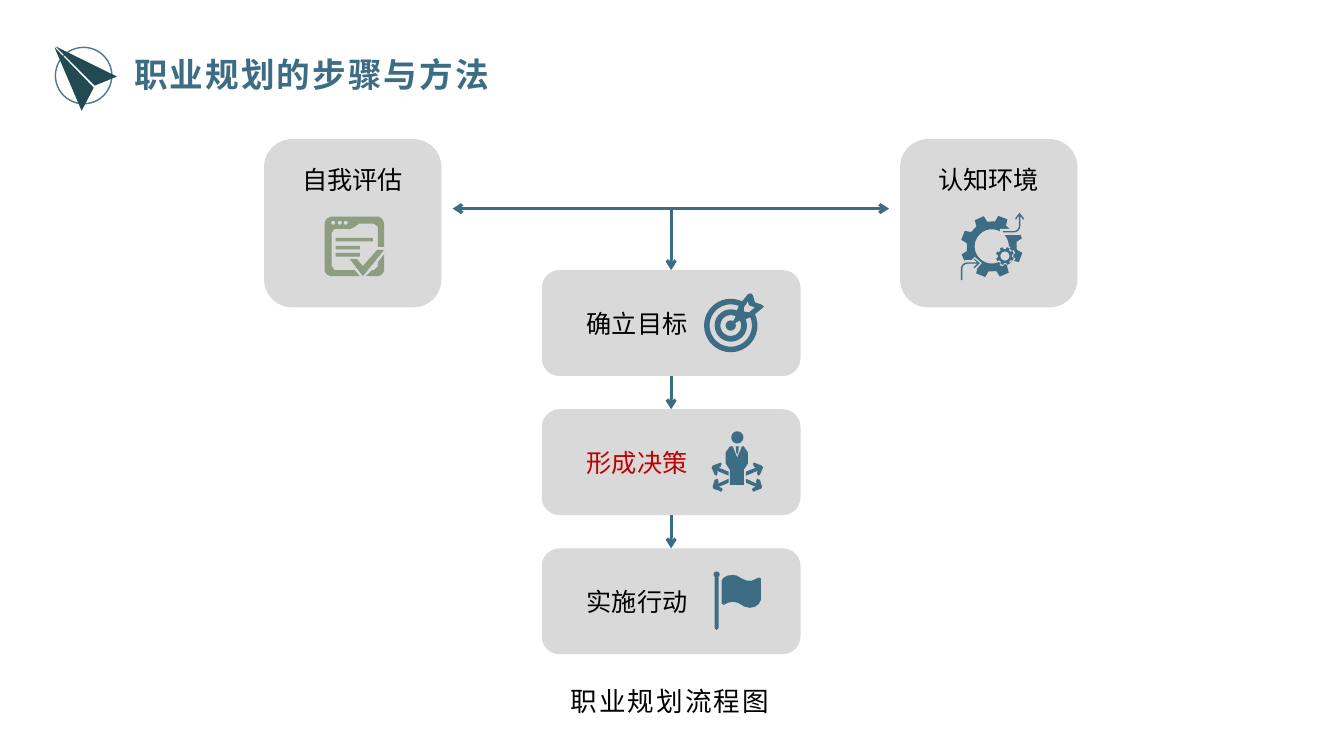
import math

from lxml import etree
from pptx import Presentation
from pptx import util as u
from pptx.dml.color import RGBColor
from pptx.enum import shapes, text
from pptx.oxml.ns import qn

COLS, ROWS, CELL = 160, 90, 76200
ICON_UNIT = 0.12
FONT = "Noto Sans CJK SC"
COLORS = {"blue": "3D6D84", "ring": "467A8C", "plane": "224A52", "box": "D9D9D9",
          "green": "8C9D80", "black": "000000", "red": "C00000"}
FRAME = {"word_wrap": True, "auto_size": text.MSO_AUTO_SIZE.NONE, "margin_top": 0,
         "margin_bottom": 0, "vertical_anchor": text.MSO_ANCHOR.MIDDLE}


def rgb(name):
    """Return the named colour."""
    return RGBColor.from_string(COLORS[name])


def grid(*cells):
    """Turn grid cells into lengths."""
    return [u.Emu(round(c * CELL)) for c in cells]


def apply(obj, values):
    """Set each attribute of the object from a dict."""
    for key, value in values.items():
        setattr(obj, key, value)


def write(sp, words, size, color="black", bold=False, align="CENTER", spacing=0):
    """Fill a shape with one formatted line of text."""
    tf = sp.text_frame
    apply(tf, FRAME)
    p = tf.paragraphs[0]
    p.alignment = getattr(text.PP_ALIGN, align)
    r = p.add_run()
    r.text = words
    apply(r.font, {"size": u.Pt(size), "bold": bold, "name": FONT})
    r.font.color.rgb = rgb(color)
    rpr = r.font._element
    etree.SubElement(rpr, qn("a:ea")).set("typeface", FONT)
    if spacing:
        rpr.set("spc", str(spacing))
    return p


def label(parent, at, words, size=18, **style):
    """Add a text box on the grid."""
    return write(parent.add_textbox(*grid(*at)), words, size, **style)


def box(parent, at):
    """Add a plain rounded box."""
    sp = parent.add_shape(shapes.MSO_SHAPE.ROUNDED_RECTANGLE, *grid(*at))
    sp.shadow.inherit = False
    sp.fill.solid()
    sp.fill.fore_color.rgb = rgb("box")
    sp.line.fill.background()
    return sp


def icon(parent, origin, contours, color="blue"):
    """Draw closed contours as one filled outline."""
    def place(points):
        """Move icon points onto the slide."""
        return [grid(*(o + v * ICON_UNIT for o, v in zip(origin, pt))) for pt in points]

    first, *others = [place(c) for c in contours]
    builder = parent.build_freeform(*first[0], scale=1.0)
    builder.add_line_segments(first[1:])
    for points in others:
        builder.move_to(*points[0])
        builder.add_line_segments(points[1:])
    sp = builder.convert_to_shape()
    sp.shadow.inherit = False
    sp.fill.solid()
    sp.fill.fore_color.rgb = rgb(color)
    sp.line.fill.background()


def arrow(parent, start, end, *heads):
    """Add a straight line with the given heads."""
    c = parent.add_connector(shapes.MSO_CONNECTOR.STRAIGHT, *grid(*start, *end))
    c.line.color.rgb = rgb("blue")
    c.line.width = u.Pt(2.25)
    etree.SubElement(c._element.spPr, qn("a:effectLst"))
    for head in heads:
        etree.SubElement(c.line._get_or_add_ln(), qn(f"a:{head}")).set("type", "arrow")
    return c


def arc(center, radius, start=0, stop=360, steps=36):
    """List points along an arc, in degrees."""
    angles = [math.radians(start + (stop - start) * i / steps) for i in range(steps + 1)]
    return [(center[0] + radius * math.cos(a), center[1] + radius * math.sin(a)) for a in angles]


def band(center, outer, inner, start, stop):
    """Outline a part of a ring."""
    return arc(center, outer, start, stop) + arc(center, inner, start, stop)[::-1]


def rect(x, y, w, h):
    """Outline a rectangle."""
    return [(x, y), (x + w, y), (x + w, y + h), (x, y + h)]


def gear(center, outer, root, phase, teeth=8):
    """Outline a gear wheel."""
    step = 360 / teeth
    profile = [(root, -0.3), (outer, -0.2), (outer, 0.2), (root, 0.3)]
    return [arc(center, r, phase + (i + k) * step, steps=1)[0]
            for i in range(teeth) for r, k in profile]


def form_icon(parent, origin):
    """Draw the checked form."""
    body = [(6, 0), (54, 0), (57, 2), (59, 6), (59, 30), (53, 30), (53, 10), (49, 7), (34, 7),
            (30, 10), (26, 12), (10, 12), (7, 16), (7, 49), (10, 53), (30, 53), (35, 59),
            (6, 59), (2, 57), (0, 54), (0, 6), (2, 2)]
    corner = [(59, 37), (59, 54), (57, 57), (54, 59), (41, 59), (47, 53), (49, 53), (53, 49), (53, 45)]
    check = [(52, 33), (59, 33), (38, 59), (25, 42), (32, 42), (38, 49)]
    lines = [rect(11, y, w, 3.5) for y, w in ((21, 37), (29, 24), (36, 24))]
    dots = [arc((x, 6), 2) for x in (8.5, 15, 21)]
    icon(parent, origin, [body, corner, check, *lines, *dots], "green")


def gear_icon(parent, origin):
    """Draw the gears with an arrow in and an arrow out."""
    big, small = (31, 33.5), (44, 43)
    gap = [(4, 47), (11, 47), (14, 44), (21, 50), (16, 56), (14, 53), (4, 53)]
    up = [(54, 6), (58.5, 0), (63, 6), (62, 7), (58.5, 2), (55, 7)]
    right = [(13, 46), (14, 46), (19, 50), (14, 55), (13, 54), (17, 50)]
    icon(parent, origin, [gear(big, 31, 25, -69), arc(big, 17)])
    icon(parent, origin, [rect(39, 16, 20, 6), gap, gear(small, 10.5, 8.5, -69)], "box")
    icon(parent, origin, [gear(small, 9, 7, -69), arc(small, 4.5)])
    icon(parent, origin, [up, rect(57.8, 2, 1.4, 11), band((52.5, 13), 6.7, 5.3, 0, 90),
                          rect(42, 18.3, 10.5, 1.4), right, rect(7, 49.3, 10, 1.4),
                          band((7, 56), 6.7, 5.3, 180, 270), rect(0.3, 56, 1.4, 11)])


def target_icon(parent, origin):
    """Draw the target with a dart."""
    hub = (26, 32)
    dart = [(43, 1), (46, 0), (48, 2), (50, 9), (56, 11), (59, 13), (57, 15)]
    feather = [(47, 13), (44, 12), (43, 8), (39, 14), (39, 18), (44, 19), (50, 14)]
    icon(parent, origin, [arc(hub, 26.5, -25, 295) + dart, band(hub, 21, 16, -23, 292),
                          band(hub, 10.3, 5, -29, 299), feather])


def person_icon(parent, origin):
    """Draw the person choosing between directions."""
    body = [(18, 15), (32, 15), (36, 21), (36, 32), (32, 38), (32, 53), (18, 53), (18, 38),
            (14, 32), (14, 21)]
    collar = [(21, 15), (30, 15), (25.5, 26)]
    tie = [(24, 15), (27, 15), (26.5, 21), (25.5, 23), (24.5, 21)]
    upper = [(42, 31), (50, 34), (51, 36), (48, 43), (46, 44), (45, 41), (46, 39), (34, 44),
             (34, 40), (44, 36), (42, 35), (41, 32)]
    lower = [(34, 47), (45, 52), (44, 50), (45, 47), (48, 48), (50, 55), (49, 57), (43, 59),
             (42, 60), (40, 58), (41, 56), (44, 55), (34, 51)]
    mirrored = [[(51 - x, y) for x, y in side] for side in (upper, lower)]
    icon(parent, origin, [arc((25.5, 6), 6), body, collar, tie, upper, lower, *mirrored])


def flag_icon(parent, origin):
    """Draw the flag on its pole."""
    cloth = [(8, 9), (10, 6), (14, 4), (19, 3.5), (23, 4), (28, 7), (33, 9), (38, 9), (45, 6),
             (47, 7), (47, 28), (45, 32), (41, 35), (36, 36), (31, 35), (24, 31), (19, 30),
             (14, 31), (10, 33), (8, 32)]
    pole = [(1, 6), (5, 6), (5, 56), (3, 58), (1, 56)]
    icon(parent, origin, [cloth, pole, arc((3, 3), 3)])


def plane_mark(parent):
    """Draw the paper plane in its ring."""
    sp = parent.add_shape(shapes.MSO_SHAPE.OVAL, *grid(6.6, 5.64, 6.72, 6.72))
    sp.shadow.inherit = False
    sp.fill.background()
    sp.line.color.rgb = rgb("ring")
    sp.line.width = u.Pt(1)
    icon(parent, (6.48, 5.52), [[(62, 30), (40, 39), (1, 0)], [(39, 41), (27, 64), (0, 1)]], "plane")


def main():
    """Build the career planning slide."""
    prs = Presentation()
    prs.slide_width, prs.slide_height = grid(COLS, ROWS)
    s = prs.slides.add_slide(prs.slide_layouts[5])
    title = s.shapes.title
    apply(title, dict(zip(("left", "top", "width", "height"), grid(14.76, 5.8, 80, 6))))
    write(title, "职业规划的步骤与方法", 24, "blue", True, "LEFT", 150)
    plane_mark(s.shapes.add_group_shape().shapes)

    for col, words, draw, dx, dy in ((31.44, "自我评估", form_icon, 7.2, 9.24),
                                     (107.16, "认知环境", gear_icon, 7.2, 8.76)):
        card = s.shapes.add_group_shape().shapes
        box(card, (col, 16.56, 21.12, 20.04))
        label(card, (col, 19, 21.12, 4.8), words)
        draw(card, (col + dx, 16.56 + dy))

    middle, rail = 79.9, 24.84
    arrow(s.shapes, (53.88, rail), (105.84, rail), "headEnd", "tailEnd")
    above = None
    steps = (("确立目标", "black", target_icon, 83.88, 2.76),
             ("形成决策", "red", person_icon, 84.72, 2.64),
             ("实施行动", "black", flag_icon, 84.96, 2.76))
    for i, (words, color, draw, col, dy) in enumerate(steps):
        row = 32.16 + 16.56 * i
        sp = box(s.shapes, (middle - 15.4, row, 30.8, 12.6))
        label(s.shapes, (middle - 16.3, row + 3.9, 24.5, 4.8), words, color=color)
        draw(s.shapes, (col, row + dy))
        link = arrow(s.shapes, (middle, rail), (middle, row), "tailEnd")
        if above is not None:
            link.begin_connect(above, 2)
        link.end_connect(sp, 0)
        above = sp

    p = label(s.shapes, (44.4, 80.88, 66.72, 5.04), "职业规划流程图", 19, spacing=150)
    p._p.get_or_add_pPr().set("indent", str(4 * CELL))
    prs.save("out.pptx")


if __name__ == "__main__":
    main()
